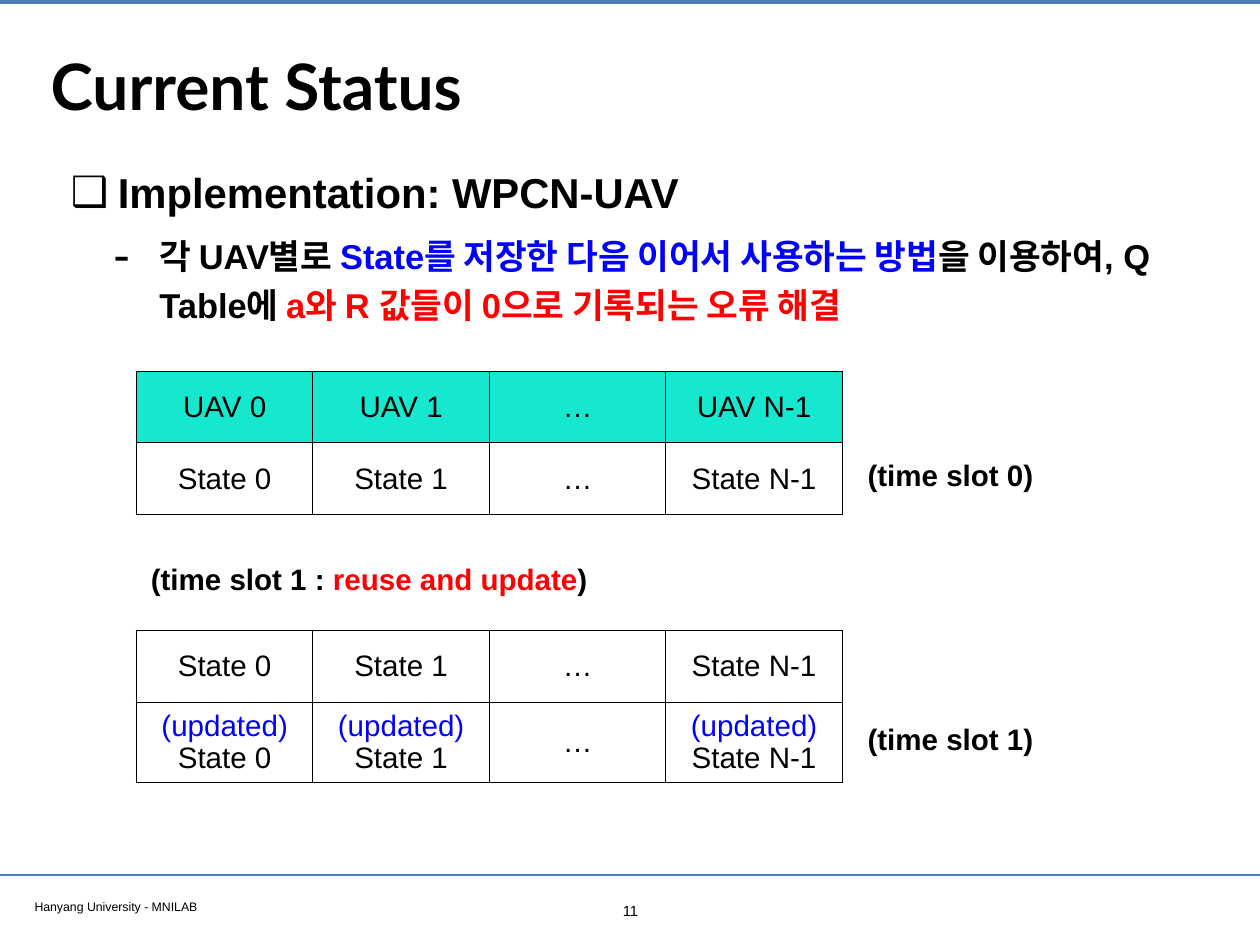
"""Build the Current Status slide on reusing UAV states between time slots."""
from dataclasses import dataclass

from lxml import etree
from pptx import Presentation
from pptx import util as u
from pptx.dml.color import RGBColor
from pptx.enum import shapes, text
from pptx.oxml.ns import qn

TITLE = "Current Status"
HEADING = "Implementation: WPCN-UAV"
DETAIL = [
    ("각 UAV별로 ", "black"),
    ("State를 저장한 다음 이어서 사용하는 방법", "blue"),
    ("을 이용하여, Q Table에 ", "black"),
    ("a와 R 값들이 0으로 기록되는 오류 해결", "red"),
]
REUSE = [("(time slot 1 : ", "black"), ("reuse and update", "red"), (")", "black")]
FOOTER = "Hanyang University - MNILAB"
PAGE = "11"
INDEXES = ["0", "1", None, "N-1"]
UAVS, STATES, UPDATED = [
    [pattern.format(index) if index else "…" for index in INDEXES]
    for pattern in ("UAV {}", "State {}", "(updated)\nState {}")
]
TABLES = [
    {"top": 10.64, "rows": [UAVS, STATES], "heights": [2.06, 2.06], "header": True},
    {"top": 18.08, "rows": [STATES, UPDATED], "heights": [2.06, 2.29], "header": False},
]
LABELS = [
    ("(time slot 0)", (24.59, 12.95, 5.31, 1.32)),
    (REUSE, (3.91, 15.93, 13.34, 1.32)),
    ("(time slot 1)", (24.59, 20.52, 5.31, 1.32)),
]
WIDTH, HEIGHT = 36.12, 27.1
RULES = [(0.05, 3.2), (25.1, 2)]
TABLE_LEFT, COLUMN_WIDTH = 3.91, 5.06
INSET = 0.15


@dataclass(frozen=True)
class Theme:
    """Colours, fonts and type sizes of the slide."""
    black: str = "000000"
    blue: str = "0000FF"
    red: str = "FF0000"
    rule: str = "4A7EBB"
    header: str = "16E7CF"
    title_font: str = "Lato"
    font: str = "Arial"
    title_size: float = 52
    heading_size: float = 34
    detail_size: float = 28
    label_size: float = 24
    page_size: float = 12
    footer_size: float = 10

    def colour(self, name):
        return RGBColor.from_string(getattr(self, name))


THEME = Theme()


def write(paragraph, content, *, size, font=THEME.font, bold=False, align="LEFT", colour="black"):
    """Write a string or coloured runs into a paragraph."""
    paragraph.alignment = getattr(text.PP_ALIGN, align)
    for words, name in [(content, colour)] if isinstance(content, str) else content:
        run = paragraph.add_run()
        run.text = words
        run.font.name = font
        run.font.size = u.Pt(size)
        run.font.bold = bold
        run.font.color.rgb = THEME.colour(name)


def set_bullet(paragraph, character, percent, left, hanging):
    """Give a paragraph its bullet and hanging indent."""
    properties = paragraph._p.get_or_add_pPr()
    properties.set("marL", str(u.Cm(left)))
    properties.set("indent", str(-u.Cm(hanging)))
    for tag, name, value in [
        ("a:buSzPct", "val", str(percent * 1000)),
        ("a:buFont", "typeface", THEME.font),
        ("a:buChar", "char", character),
    ]:
        etree.SubElement(properties, qn(tag)).set(name, value)


def place(shape, box, anchor="TOP", wrap=True):
    """Position a text shape and return its prepared frame."""
    shape.left, shape.top, shape.width, shape.height = map(u.Cm, box)
    frame = shape.text_frame
    frame.auto_size = text.MSO_AUTO_SIZE.NONE
    frame.word_wrap = wrap
    frame.vertical_anchor = getattr(text.MSO_ANCHOR, anchor)
    frame.margin_left = frame.margin_right = u.Cm(INSET)
    frame.margin_top = frame.margin_bottom = u.Cm(INSET)
    return frame


def add_label(slide, content, box, *, anchor="TOP", wrap=True, **style):
    """Add a one-paragraph text box."""
    frame = place(slide.shapes.add_textbox(0, 0, 0, 0), box, anchor, wrap)
    write(frame.paragraphs[0], content, **style)


def add_rule(slide, top, weight):
    """Draw a rule across the slide."""
    line = slide.shapes.add_connector(
        shapes.MSO_CONNECTOR.STRAIGHT, 0, u.Cm(top), u.Cm(WIDTH), u.Cm(top))
    line.line.color.rgb = THEME.colour("rule")
    line.line.width = u.Pt(weight)
    etree.SubElement(line._element.spPr, qn("a:effectLst"))


def add_borders(cell):
    """Draw thin black borders around a cell."""
    properties = cell._tc.get_or_add_tcPr()
    for side in "LRTB":
        border = etree.SubElement(properties, qn(f"a:ln{side}"), w=str(u.Pt(1)))
        fill = etree.SubElement(border, qn("a:solidFill"))
        etree.SubElement(fill, qn("a:srgbClr"), val=THEME.black)


def fill_cell(cell, content, header):
    """Format one table cell and write its lines."""
    add_borders(cell)
    if header:
        cell.fill.solid()
        cell.fill.fore_color.rgb = THEME.colour("header")
    else:
        cell.fill.background()
    cell.vertical_anchor = text.MSO_ANCHOR.MIDDLE
    frame = cell.text_frame
    for number, line in enumerate(content.split("\n")):
        paragraph = frame.add_paragraph() if number else frame.paragraphs[0]
        write(paragraph, line, size=THEME.label_size, align="CENTER",
              colour="blue" if line == "(updated)" else "black")


def add_state_table(slide, top, rows, heights, header):
    """Add a table of UAV states."""
    columns = len(INDEXES)
    table = slide.shapes.add_table(
        len(rows), columns, u.Cm(TABLE_LEFT), u.Cm(top),
        u.Cm(COLUMN_WIDTH * columns), u.Cm(sum(heights))).table
    table.first_row = table.horz_banding = False
    for column in table.columns:
        column.width = u.Cm(COLUMN_WIDTH)
    for r, cells in enumerate(rows):
        table.rows[r].height = u.Cm(heights[r])
        for c, content in enumerate(cells):
            fill_cell(table.cell(r, c), content, header and r == 0)


def main():
    """Assemble and save the slide."""
    presentation = Presentation()
    presentation.slide_width, presentation.slide_height = u.Cm(WIDTH), u.Cm(HEIGHT)
    slide = presentation.slides.add_slide(presentation.slide_layouts[1])
    for top, weight in RULES:
        add_rule(slide, top, weight)

    title = place(slide.shapes.title, (1.3, 0.71, 33.55, 3.43), "MIDDLE")
    write(title.paragraphs[0], TITLE, size=THEME.title_size, font=THEME.title_font, bold=True)

    body = place(slide.placeholders[1], (1.88, 4.34, 32.39, 5.64))
    heading, detail = body.paragraphs[0], body.add_paragraph()
    detail.level = 1
    set_bullet(heading, "❑", 100, 1.35, 1.35)
    set_bullet(detail, "-", 145, 2.54, 1.32)
    heading.line_spacing = detail.line_spacing = 1.2
    heading.space_before, detail.space_before = u.Pt(0), u.Pt(8)
    write(heading, HEADING, size=THEME.heading_size, bold=True)
    write(detail, DETAIL, size=THEME.detail_size, bold=True)

    for table in TABLES:
        add_state_table(slide, **table)
    for content, box in LABELS:
        add_label(slide, content, box, anchor="MIDDLE", wrap=False,
                  size=THEME.label_size, bold=True, align="CENTER")
    add_label(slide, FOOTER, (0.84, 25.63, 13.87, 0.66), size=THEME.footer_size)
    add_label(slide, PAGE, (17.58, 25.7, 0.99, 0.79), size=THEME.page_size, align="CENTER")
    presentation.save("out.pptx")


if __name__ == "__main__":
    main()
